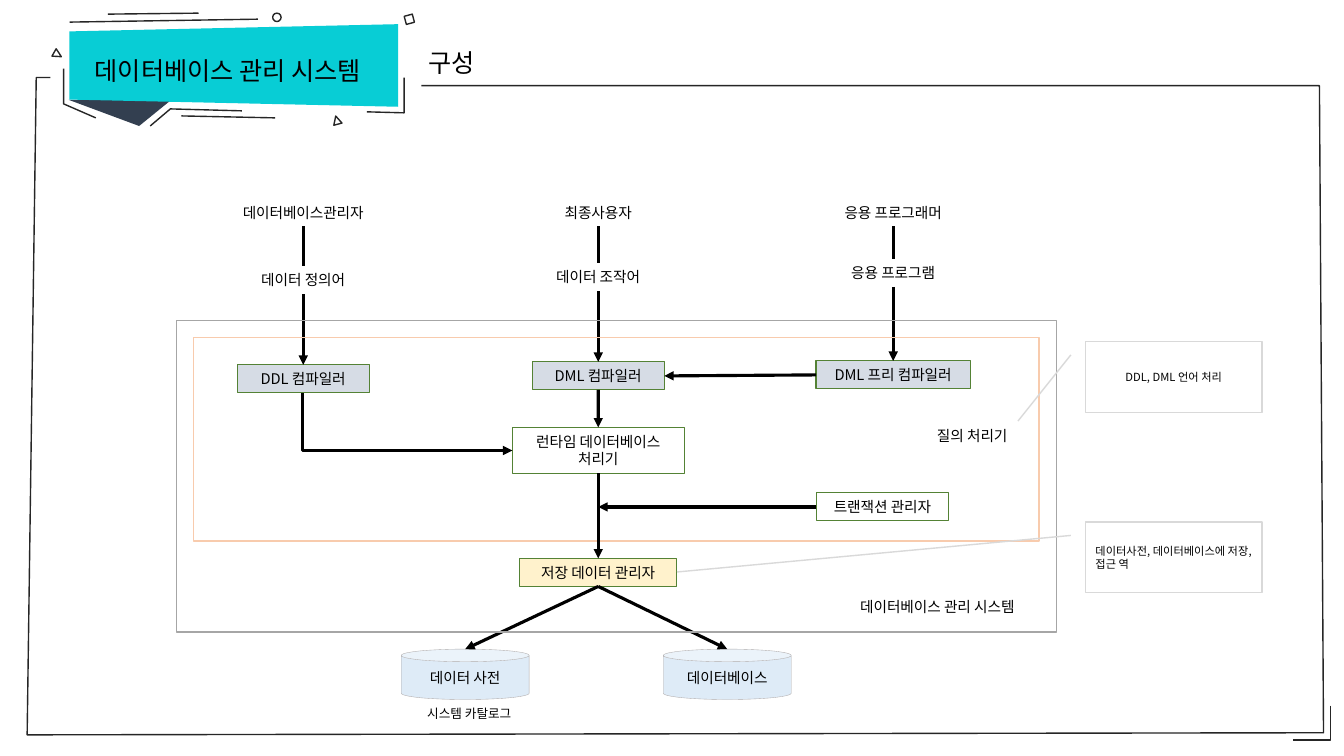
from lxml.etree import SubElement
from pptx import Presentation
from pptx.dml.color import RGBColor
from pptx.enum.shapes import MSO_CONNECTOR, MSO_SHAPE
from pptx.enum.text import MSO_ANCHOR, MSO_AUTO_SIZE, PP_ALIGN
from pptx.oxml.ns import qn
from pptx.util import Pt

FONT = "Noto Sans CJK KR"
BLACK, INK, GREEN, GREY = "000000", "262626", "548235", "D9D9D9"
STEEL, SKY = "D6DCE5", "DEEBF7"
TOP, LEFT, BOTTOM, RIGHT = range(4)
GROW = MSO_AUTO_SIZE.SHAPE_TO_FIT_TEXT


def tint(code):
    return RGBColor.from_string(code)


def adorn(item, values):
    for name, value in values.items():
        setattr(item, name, value)


class Sketch:
    """Holds the text style and the slide being drawn."""

    def __init__(self, slide):
        self.slide = slide
        self.shapes = slide.shapes
        self.font = {"name": FONT, "bold": False}

    def fill_in(self, shape, text, size=10.5, align=PP_ALIGN.CENTER, space=None, **frame):
        adorn(shape.text_frame, {"word_wrap": True, **frame})
        para = shape.text_frame.paragraphs[0]
        adorn(para, {"alignment": align, "line_spacing": space})
        run = para.add_run()
        run.text = text
        adorn(run.font, {**self.font, "size": Pt(size)})
        run.font.color.rgb = tint(BLACK)
        SubElement(run._r.get_or_add_rPr(), qn("a:ea")).set("typeface", FONT)
        return shape

    def paint(self, shape, fill=None, line=None, width=1):
        shape.shadow.inherit = False
        if fill:
            shape.fill.solid()
            shape.fill.fore_color.rgb = tint(fill)
        else:
            shape.fill.background()
        if line:
            shape.line.color.rgb = tint(line)
            shape.line.width = Pt(width)
        else:
            shape.line.fill.background()
        return shape

    def form(self, kind, place, fill=None, line=None, width=1, turn=0, adjust=()):
        shape = self.shapes.add_shape(kind, *map(Pt, place))
        shape.rotation = turn
        for index, value in enumerate(adjust):
            shape.adjustments[index] = value
        return self.paint(shape, fill, line, width)

    def trace(self, points, fill=None):
        first, *rest = [(Pt(x), Pt(y)) for x, y in points]
        pen = self.shapes.build_freeform(*first)
        pen.add_line_segments(rest, close=False)
        return self.paint(pen.convert_to_shape(), fill, INK)

    def label(self, text, place, **style):
        return self.fill_in(self.shapes.add_textbox(*map(Pt, place)), text,
                            **{"auto_size": GROW, **style})

    def box(self, text, place, fill=None):
        shape = self.form(MSO_SHAPE.RECTANGLE, place, fill, GREEN, 0.75)
        return self.fill_in(shape, text, auto_size=GROW)

    def line(self, start, end, color=BLACK, width=2.25, head=False,
             kind=MSO_CONNECTOR.STRAIGHT):
        link = self.shapes.add_connector(kind, *map(Pt, (*start, *end)))
        link.line.color.rgb = tint(color)
        link.line.width = Pt(width)
        shape = link.element.spPr
        if head:
            SubElement(shape.find(qn("a:ln")), qn("a:tailEnd")).set("type", "triangle")
        SubElement(shape, qn("a:effectLst"))
        return link

    def join(self, first, side, last=None, end_side=TOP, end=(0, 0), head=True):
        link = self.line((0, 0), end, head=head)
        link.begin_connect(first, side)
        if last is not None:
            link.end_connect(last, end_side)
        return link


def main():
    deck = Presentation()
    adorn(deck, {"slide_width": Pt(960), "slide_height": Pt(540)})
    art = Sketch(deck.slides.add_slide(deck.slide_layouts[5]))

    # Page frame
    art.trace([(301, 61.2), (942.5, 61.2), (945.4, 523.4), (19.4, 524.9),
               (25.9, 55.4), (36, 55.4)], "FFFFFF")
    art.trace([(950.4, 504), (950.4, 528.5), (923.8, 528.5)])

    # Title banner and its ornaments
    art.form(MSO_SHAPE.ISOSCELES_TRIANGLE, (49, 71.3, 73.4, 18.7), "333F50",
             turn=180, adjust=[0.314])
    art.form(MSO_SHAPE.TRAPEZOID, (137.5, -70.6, 59, 234.7), "08CDD5",
             turn=270, adjust=[0.087])
    for start, end in [((49.7, 15.8), (184.3, 13.7)), ((77, 10.1), (141.8, 9.4)),
                       ((129.6, 82.8), (196.6, 84.2))]:
        art.line(start, end, INK, 1)
    for kind, x, y, turn in [(MSO_SHAPE.OVAL, 194.8, 9.4, 0),
                             (MSO_SHAPE.ISOSCELES_TRIANGLE, 237.6, 82.8, 345),
                             (MSO_SHAPE.RECTANGLE, 289.4, 10.8, 345),
                             (MSO_SHAPE.ISOSCELES_TRIANGLE, 38.2, 36, 120)]:
        art.form(kind, (x, y, 6, 6), line=INK, turn=turn)
    for points in [[(45.4, 49), (45.4, 74.2), (68.4, 84.2)],
                   [(107.3, 90), (121.7, 77.8), (172.8, 79.2)],
                   [(288.7, 55.4), (288.7, 80.6), (262.1, 79.9)]]:
        art.trace(points)

    # Title and heading
    head = {"size": 18, "align": PP_ALIGN.LEFT, "space": 1.5, "word_wrap": False,
            "auto_size": GROW, "vertical_anchor": MSO_ANCHOR.TOP}
    title = art.shapes.title
    adorn(title, {"left": Pt(60.5), "top": Pt(25.2), "width": Pt(227.5), "height": Pt(36)})
    title.element.getparent().append(title.element)
    art.fill_in(title, "데이터베이스 관리 시스템", **head)
    art.label("구성", (298.8, 19.4, 51.1, 36), **head)

    # User columns: user, language, compiler
    tools = []
    for col, (user, tongue, y, tool, low, wide) in enumerate([
            ("데이터베이스관리자", "데이터 정의어", 190.1, "DDL 컴파일러", 260.6, 94.4),
            ("최종사용자", "데이터 조작어", 187.9, "DML 컴파일러", 258.5, 94.4),
            ("응용 프로그래머", "응용 프로그램", 185, "DML 프리 컴파일러", 257.8, 110.2)]):
        mid = 216.6 + 210.7 * col
        top = art.label(user, (mid - 55, 141.8, 110, 20))
        word = art.label(tongue, (mid - 47.2, y, 94.4, 20))
        tools.append(art.box(tool, (mid - wide / 2, low, wide, 20), STEEL))
        art.join(top, BOTTOM, word, head=False)
        art.join(word, BOTTOM, tools[-1])
    ddl, dml, pre = tools

    # Managers and stores
    run = art.box("런타임 데이터베이스 처리기", (365.8, 305.3, 123.1, 32.7))
    store = art.box("저장 데이터 관리자", (371.2, 398.9, 112.3, 20), "FFF2CC")
    deal = art.box("트랜잭션 관리자", (583.2, 352.1, 94.4, 20))
    for text, x in [("데이터 사전", 286.6), ("데이터베이스", 473.8)]:
        can = art.form(MSO_SHAPE.CAN, (x, 463.7, 91.4, 36), SKY, "AFABAB", 0.25)
        art.fill_in(can, text, vertical_anchor=MSO_ANCHOR.MIDDLE)
        art.join(store, BOTTOM, end=(x + 45.7, 463.7))

    # System and query processor outlines
    art.form(MSO_SHAPE.RECTANGLE, (126, 229, 628.6, 222.5), line="A6A6A6")
    art.form(MSO_SHAPE.RECTANGLE, (138.2, 241.2, 604.1, 145.4), line="F8CBAD")

    # Flow arrows
    art.join(pre, LEFT, dml, RIGHT)
    art.join(dml, BOTTOM, run)
    art.join(run, BOTTOM, store)
    art.join(deal, LEFT, end=(427.3, 362.1))
    bend = art.line((270.7, 226.5), (311.7, 376.1), head=True, kind=MSO_CONNECTOR.ELBOW)
    shape = bend.element.spPr
    shape.find(qn("a:prstGeom")).set("prst", "bentConnector2")
    for name, value in {"rot": "16200000", "flipH": "1"}.items():
        shape.find(qn("a:xfrm")).set(name, value)

    # Captions
    art.label("질의 처리기", (647.3, 301, 94.4, 20))
    art.label("데이터베이스 관리 시스템", (596.9, 423.4, 145.4, 20))
    art.label("시스템 카탈로그", (294.5, 500.4, 81.4, 18), size=9)

    # Callouts
    for text, y, align, adjust in [
            ("DDL, DML 언어 처리", 244.1, PP_ALIGN.CENTER, []),
            ("데이터사전, 데이터베이스에 저장, 접근 역", 373, PP_ALIGN.LEFT,
             [0.188, -0.083, 0.706, -2.316])]:
        note = art.form(MSO_SHAPE.LINE_CALLOUT_1, (775.4, y, 126, 50.4), line=GREY,
                        adjust=adjust)
        art.fill_in(note, text, 8, align, vertical_anchor=MSO_ANCHOR.MIDDLE)

    deck.save("out.pptx")


if __name__ == "__main__":
    main()
